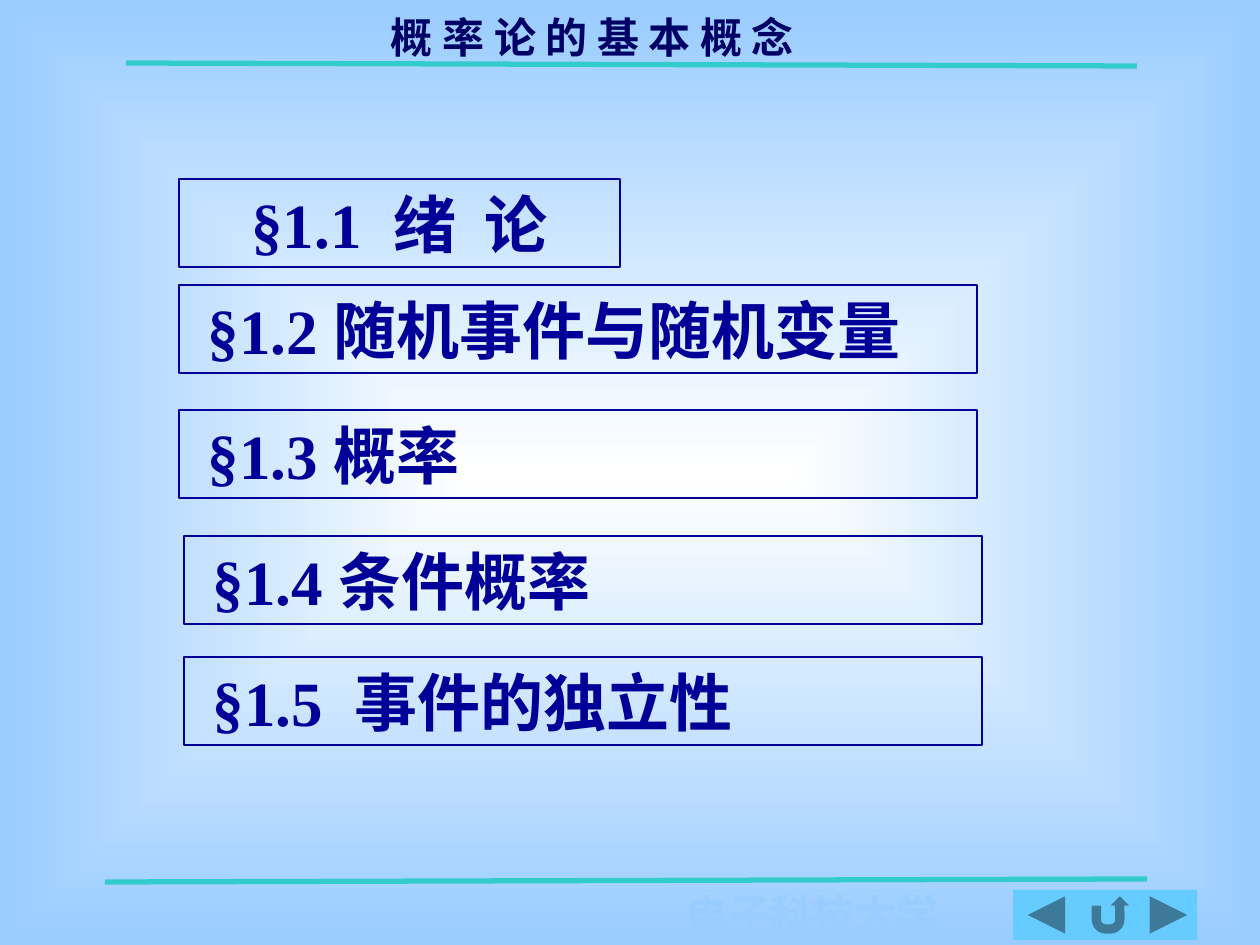
from lxml import etree
from pptx import Presentation
from pptx import util as u
from pptx.dml.color import RGBColor
from pptx.enum import shapes, text
from pptx.oxml.ns import qn

PX = 914400 / 126
COLORS = {
    "centre": "FFFFFF",
    "edge": "99CCFF",
    "rule": "33CCCC",
    "title": "000066",
    "section": "000099",
    "button": "66CCFF",
}
LATIN = "Times New Roman"
CHINESE = "Noto Sans CJK SC"


def px(*lengths):
    return [u.Emu(round(length * PX)) for length in lengths]


def color(name):
    return RGBColor.from_string(COLORS[name])


def paint_background(slide):
    fill = slide.background.fill
    fill.gradient()
    for stop, name in zip(fill.gradient_stops, ("centre", "edge")):
        stop.color.rgb = color(name)
    gradient = next(slide.element.iter(qn("a:gradFill")))
    gradient.remove(gradient.find(qn("a:lin")))
    spread = etree.SubElement(gradient, qn("a:path"))
    spread.set("path", "rect")
    focus = etree.SubElement(spread, qn("a:fillToRect"))
    for side in "ltrb":
        focus.set(side, "50000")


def add_rule(slide, *ends):
    rule = slide.shapes.add_connector(shapes.MSO_CONNECTOR.STRAIGHT, *px(*ends))
    rule.line.color.rgb = color("rule")
    rule.line.width = u.Pt(3)
    etree.SubElement(rule._element.spPr, qn("a:effectLst"))


def write(frame, parts, size, color_name, align=text.PP_ALIGN.LEFT, wrap=True):
    frame.word_wrap = wrap
    frame.auto_size = text.MSO_AUTO_SIZE.NONE
    frame.vertical_anchor = text.MSO_ANCHOR.MIDDLE
    frame.margin_left, frame.margin_right = px(13, 13)
    frame.margin_top, frame.margin_bottom = px(6, 6)
    paragraph = frame.paragraphs[0]
    paragraph.alignment = align
    for wording, typeface in parts:
        run = paragraph.add_run()
        run.text = wording
        run.font.name = typeface
        run.font.size = u.Pt(size)
        run.font.bold = True
        run.font.color.rgb = color(color_name)
        east_asian = etree.Element(qn("a:ea"))
        east_asian.set("typeface", CHINESE)
        run.font._element.find(qn("a:latin")).addnext(east_asian)


def add_title(slide, wording):
    title = slide.shapes.title
    title.left, title.top, title.width, title.height = px(378, 5, 588, 58)
    write(title.text_frame, [(wording, CHINESE)], 24, "title")
    title.text_frame.margin_bottom = px(1)[0]


def add_footer(slide, wording):
    footer = slide.shapes.add_textbox(*px(674, 882, 277, 63))
    write(footer.text_frame, [(wording, LATIN)], 24, "edge", wrap=False)


def add_section(slide, box, parts, align=text.PP_ALIGN.LEFT):
    section = slide.shapes.add_shape(shapes.MSO_SHAPE.RECTANGLE, *px(*box))
    section.shadow.inherit = False
    section.fill.background()
    section.line.color.rgb = color("section")
    section.line.width = u.Pt(0.75)
    write(section.text_frame, parts, 36, "section", align)


def add_button(slide, kind, left, width):
    button = slide.shapes.add_shape(kind, *px(left, 890, width, 50))
    button.shadow.inherit = False
    button.fill.solid()
    button.fill.fore_color.rgb = color("button")
    button.line.fill.background()


def main():
    deck = Presentation()
    deck.slide_width, deck.slide_height = px(1260, 945)
    slide = deck.slides.add_slide(deck.slide_layouts[5])
    paint_background(slide)
    add_rule(slide, 126, 63, 1137, 66)
    add_rule(slide, 105, 882, 1147, 879)
    add_title(slide, "概 率 论 的 基 本 概 念")
    add_footer(slide, "电子科技大学")

    add_section(slide, (179, 179, 441, 88),
                [("§1.1  ", LATIN), ("绪  论", CHINESE)], text.PP_ALIGN.CENTER)
    sections = [
        (179, 285, [(" §1.2 ", LATIN), ("随机事件与随机变量", CHINESE)]),
        (179, 410, [(" §1.3 ", LATIN), ("概率", CHINESE)]),
        (184, 536, [(" §1.4 ", LATIN), ("条件概率", CHINESE)]),
        (184, 657, [(" §1.5  事件的独立性", LATIN)]),
    ]
    for left, top, parts in sections:
        add_section(slide, (left, top, 798, 88), parts)

    buttons = [
        (shapes.MSO_SHAPE.ACTION_BUTTON_BACK_OR_PREVIOUS, 1013, 67),
        (shapes.MSO_SHAPE.ACTION_BUTTON_RETURN, 1080, 61),
        (shapes.MSO_SHAPE.ACTION_BUTTON_FORWARD_OR_NEXT, 1140, 57),
    ]
    for kind, left, width in buttons:
        add_button(slide, kind, left, width)

    deck.save("out.pptx")


if __name__ == "__main__":
    main()
